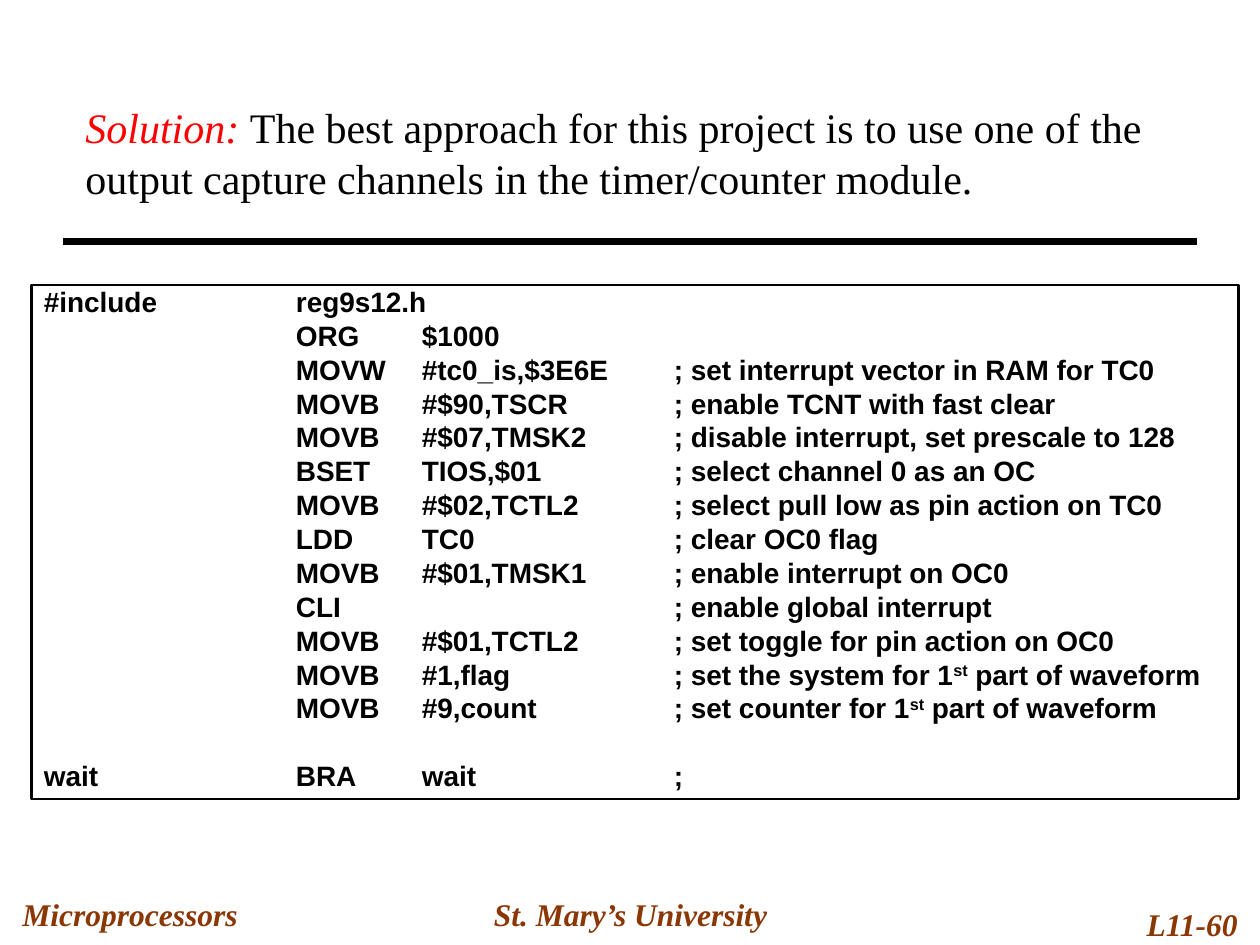
import pptx
import pptx.dml.color
import pptx.enum.shapes
import pptx.enum.text
import pptx.oxml
import pptx.oxml.ns
import pptx.util

Inches = pptx.util.Inches
Pt = pptx.util.Pt
ALIGN = pptx.enum.text.PP_ALIGN
ANCHOR = pptx.enum.text.MSO_ANCHOR

FOOTER_FONT = {"name": "Times New Roman", "size": Pt(18), "bold": True, "italic": True}
INTRO_FONT = {"name": "Times New Roman", "size": Pt(24), "bold": False}
CODE_FONT = {"name": "Arial", "size": Pt(16), "bold": True, "italic": False}
CODE_GAP = 4
WAIT_GAP = 23

FOOTERS = [
    ("Microprocessors", (0.08, 7, 2.42, 0.5), ALIGN.LEFT),
    ("St. Mary’s University", (3.42, 7, 3.17, 0.5), ALIGN.CENTER),
    ("L11-60", (8.67, 7.08, 1.25, 0.5), ALIGN.RIGHT),
]

PROGRAM = [
    ["#include\t\treg9s12.h"],
    ["\t\tORG\t$1000"],
    ["\t\tMOVW\t#tc0_is,$3E6E\t; set interrupt vector in RAM for TC0"],
    ["\t\tMOVB\t#$90,TSCR\t; enable TCNT with fast clear"],
    ["\t\tMOVB\t#$07,TMSK2\t; disable interrupt, set prescale to 128"],
    ["\t\tBSET\tTIOS,$01\t\t; select channel 0 as an OC"],
    ["\t\tMOVB\t#$02,TCTL2\t; select pull low as pin action on TC0"],
    ["\t\tLDD\tTC0\t\t; clear OC0 flag"],
    ["\t\tMOVB\t#$01,TMSK1\t; enable interrupt on OC0"],
    ["\t\tCLI\t\t\t; enable global interrupt"],
    ["\t\tMOVB\t#$01,TCTL2\t; set toggle for pin action on OC0"],
    ["\t\tMOVB\t#1,flag\t\t; set the system for 1", "st", " part of waveform"],
    ["\t\tMOVB\t#9,count\t\t; set counter for 1", "st", " part of waveform"],
    ["wait\t\tBRA\twait\t\t;"],
]


def color(value):
    return pptx.dml.color.RGBColor.from_string(value)


def apply_format(target, values):
    for name, value in values.items():
        setattr(target, name, value)


def add_run(paragraph, text, font, fill):
    run = paragraph.add_run()
    run.text = text
    apply_format(run.font, font)
    run.font.color.rgb = color(fill)
    return run


def add_text_area(slide, box, anchor):
    area = slide.shapes.add_textbox(*map(Inches, box))
    apply_format(area.text_frame, {"word_wrap": True, "vertical_anchor": anchor})
    return area.text_frame.paragraphs[0]


def add_footer(slide, text, box, alignment):
    paragraph = add_text_area(slide, box, ANCHOR.MIDDLE)
    paragraph.alignment = alignment
    add_run(paragraph, text, FOOTER_FONT, "8A3704")


def add_intro(slide):
    paragraph = add_text_area(slide, (0.58, 0.76, 8.83, 0.9), ANCHOR.TOP)
    add_run(paragraph, "Solution: ", {**INTRO_FONT, "italic": True}, "FF0000")
    add_run(
        paragraph,
        "The best approach for this project is to use one of the "
        "output capture channels in the timer/counter module.",
        {**INTRO_FONT, "italic": False},
        "000000",
    )


def add_tab_stops(paragraph):
    properties = paragraph._p.get_or_add_pPr()
    stops = pptx.oxml.parse_xml(f"<a:tabLst {pptx.oxml.ns.nsdecls('a')}/>")
    for inch in range(1, 8):
        stop = stops.makeelement(pptx.oxml.ns.qn("a:tab"), {"pos": str(Inches(inch)), "algn": "l"})
        stops.append(stop)
    properties.append(stops)


def add_code_line(paragraph, parts, gap):
    add_tab_stops(paragraph)
    apply_format(
        paragraph,
        {"alignment": ALIGN.LEFT, "line_spacing": 0.8, "space_before": Pt(gap)},
    )
    for part in parts:
        run = add_run(paragraph, part, CODE_FONT, "000000")
        if part == "st":
            run._r.get_or_add_rPr().set("baseline", "30000")


def add_program(slide):
    listing = slide.shapes.add_shape(
        pptx.enum.shapes.MSO_SHAPE.RECTANGLE, *map(Inches, (0.25, 2.26, 9.58, 4.08))
    )
    listing.shadow.inherit = False
    listing.fill.background()
    listing.line.color.rgb = color("000000")
    listing.line.width = Pt(1.25)
    frame = listing.text_frame
    apply_format(frame, {"word_wrap": True, "vertical_anchor": ANCHOR.TOP})
    for index, parts in enumerate(PROGRAM):
        paragraph = frame.add_paragraph() if index else frame.paragraphs[0]
        gap = CODE_GAP if index else 0
        if parts[0].startswith("wait"):
            gap = WAIT_GAP
        add_code_line(paragraph, parts, gap)


def add_divider(slide):
    divider = slide.shapes.add_connector(
        pptx.enum.shapes.MSO_CONNECTOR.STRAIGHT, *map(Inches, (0.5, 1.92, 9.5, 1.92))
    )
    divider.line.color.rgb = color("000000")
    divider.line.width = Pt(4)
    effects = pptx.oxml.parse_xml(f"<a:effectLst {pptx.oxml.ns.nsdecls('a')}/>")
    divider._element.spPr.append(effects)


def main():
    deck = pptx.Presentation()
    apply_format(deck, {"slide_width": Inches(10), "slide_height": Inches(7.5)})
    slide = deck.slides.add_slide(deck.slide_layouts[6])
    for text, box, alignment in FOOTERS:
        add_footer(slide, text, box, alignment)
    add_program(slide)
    add_intro(slide)
    add_divider(slide)
    deck.save("out.pptx")


if __name__ == "__main__":
    main()
